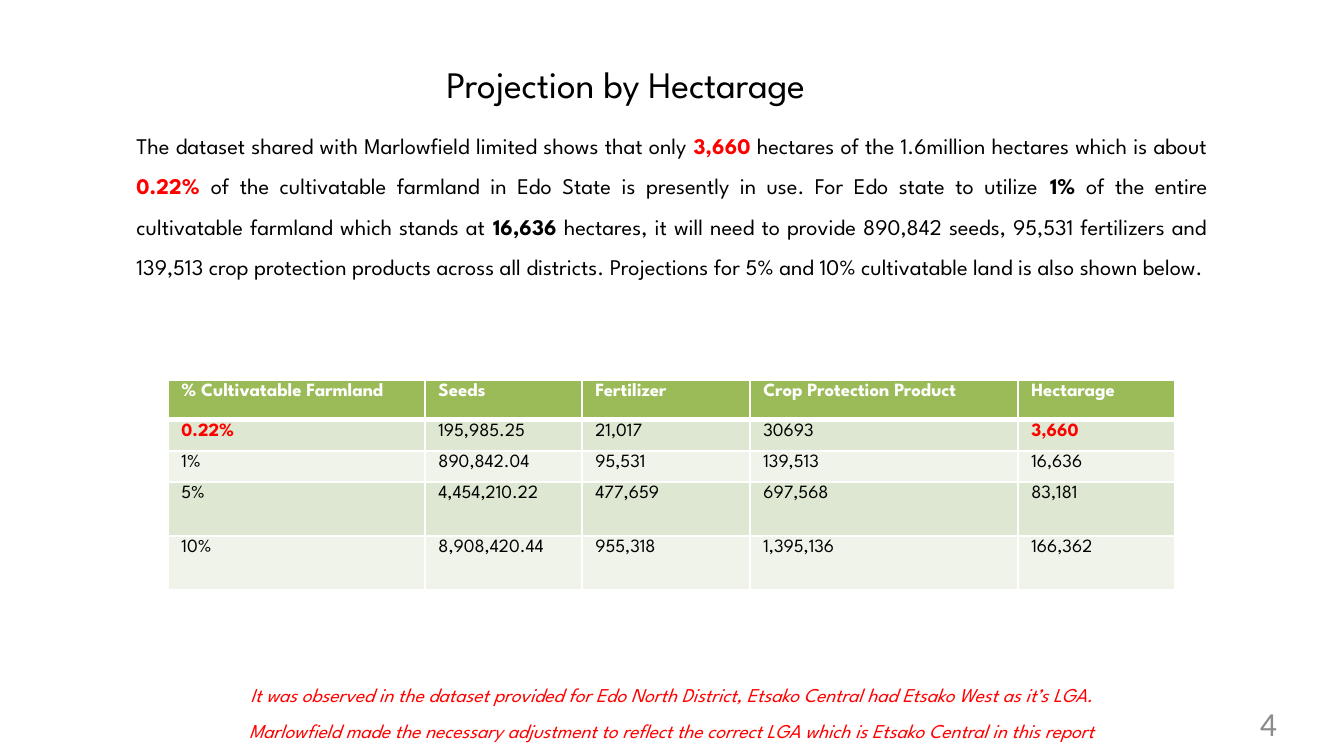
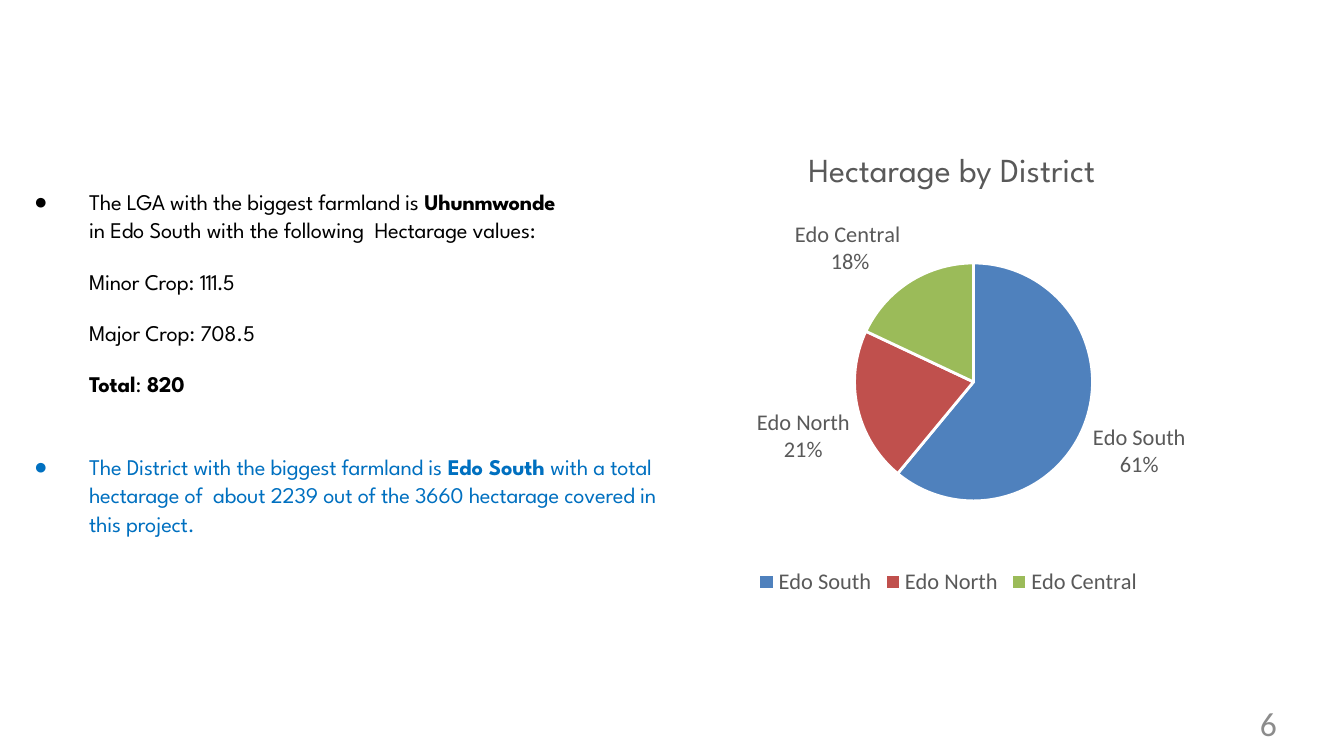
from lxml import etree
from pptx import Presentation
from pptx import util as u
from pptx.chart.data import CategoryChartData
from pptx.dml.color import RGBColor
from pptx.enum import chart as ch
from pptx.enum import text
from pptx.oxml import parse_xml
from pptx.oxml.ns import nsdecls, qn

BLACK = RGBColor(0, 0, 0)
WHITE = RGBColor(0xFF, 0xFF, 0xFF)
RED = RGBColor(0xFF, 0, 0)
BLUE = RGBColor(0, 0x70, 0xC0)
PAGE_GREY = RGBColor(0x8C, 0x8C, 0x8C)
CHART_GREY = RGBColor(0x59, 0x59, 0x59)
GREEN = RGBColor(0x9B, 0xBB, 0x59)
BANDS = [RGBColor(0xDE, 0xE7, 0xD1), RGBColor(0xEF, 0xF3, 0xEA)]
SLICES = [RGBColor(0x4F, 0x81, 0xBD), RGBColor(0xC0, 0x50, 0x4D), GREEN]
HEADING, PLAIN = "League Spartan", "Calibri"
BOLD = {"bold": True}
ALERT = {"bold": True, "color": RED}

# Content: each run is (text, style)
TITLE = "Projection by Hectarage"
SUMMARY = [
    ("The dataset shared with Marlowfield limited shows that only ", {}),
    ("3,660", ALERT),
    (" hectares of the 1.6million hectares which is about ", {}),
    ("0.22% ", ALERT),
    ("of the cultivatable farmland in Edo State is presently in use. "
     "For Edo state to utilize ", {}),
    ("1% ", BOLD),
    ("of the entire cultivatable farmland which stands at", {}),
    (" 16,636", BOLD),
    (" hectares, it will need to provide 890,842 seeds, 95,531 fertilizers and "
     "139,513 crop protection products across all districts. "
     "Projections for 5% and 10% cultivatable land is also shown below.", {}),
]
PROJECTIONS = [
    ("% Cultivatable Farmland", "Seeds", "Fertilizer", "Crop Protection Product", "Hectarage"),
    ("0.22%", "195,985.25", "21,017", "30693", "3,660"),
    ("1%", "890,842.04", "95,531", "139,513", "16,636"),
    ("5%", "4,454,210.22", "477,659", "697,568", "83,181"),
    ("10%", "8,908,420.44", "955,318", "1,395,136", "166,362"),
]
CURRENT_USE = {(1, 0), (1, 4)}
COLUMNS = [257, 157, 168, 268, 157]
ROWS = [40, 31, 31, 54, 54]
FOOTNOTE = [
    "It was observed in the dataset provided for Edo North District, "
    "Etsako Central had Etsako West as it’s LGA.",
    "Marlowfield made the necessary adjustment to reflect the correct LGA "
    "which is Etsako Central in this report",
]
# Findings: (bulleted, space before in points, right margin in px, colour, runs)
FINDINGS = [
    (True, 1, 90, BLACK, [
        ("The LGA with the biggest farmland is ", {}), ("Uhunmwonde ", BOLD),
        ("in Edo South with the following  Hectarage values:", {})]),
    (False, 13, 0, BLACK, [("Minor Crop: ", {}), ("111.5", {"spacing": -60})]),
    (False, 13, 0, BLACK, [("Major Crop: 708.5", {})]),
    (False, 13, 0, BLACK, [("Total", BOLD), (": ", {}), ("820", BOLD)]),
    (True, 29.5, 0, BLUE, [
        ("The District with the biggest farmland is ", {}), ("Edo South ", BOLD),
        ("with a total hectarage of  about 2239 out of the 3660 hectarage "
         "covered in this project.", {})]),
]
CHART_TITLE = "Hectarage by District"
DISTRICTS = {"Edo South": 61, "Edo North": 21, "Edo Central ": 18}


def px(n):
    return u.Emu(round(n * 914400 / 134.4))


def set_font(font, size, color=BLACK, name=HEADING, bold=False, italic=False):
    font.name, font.size = name, u.Pt(size)
    font.bold, font.italic = bold, italic
    font.color.rgb = color


def add_runs(p, runs, size, spacing=0, **base):
    for content, style in runs:
        style = {"spacing": spacing, **base, **style}
        gap = style.pop("spacing")
        r = p.add_run()
        r.text = content
        set_font(r.font, size, **style)
        if gap:
            r.font._element.set("spc", str(gap))


def frame(sp, box, inset=True):
    """Place a text shape and return its top-anchored, wrapping frame."""
    sp.left, sp.top, sp.width, sp.height = map(px, box)
    tf = sp.text_frame
    tf.word_wrap = True
    tf.auto_size = text.MSO_AUTO_SIZE.NONE
    tf.vertical_anchor = text.MSO_ANCHOR.TOP
    if not inset:
        tf.margin_left = tf.margin_right = tf.margin_top = tf.margin_bottom = 0
    return tf


def format_paragraph(p, align=text.PP_ALIGN.LEFT, line=1.0, before=0,
                     indent=0, bullet=None, right=0):
    p.alignment, p.line_spacing, p.space_before = align, line, u.Pt(before)
    pPr = p._p.get_or_add_pPr()
    pPr.set("marL", str(px(indent)))
    pPr.set("marR", str(px(right)))
    pPr.set("indent", str(-px(indent) if bullet else 0))
    if bullet:
        etree.SubElement(pPr, qn("a:buChar")).set("char", bullet)
    else:
        etree.SubElement(pPr, qn("a:buNone"))


def text_box(s, box, inset=True):
    return frame(s.shapes.add_textbox(0, 0, 0, 0), box, inset)


def add_page_number(s, number):
    p = text_box(s, (968, 703, 309, 38), inset=False).paragraphs[0]
    p.alignment = text.PP_ALIGN.RIGHT
    add_runs(p, [(number, {})], 18, color=PAGE_GREY, name=PLAIN)


def add_borders(cell, bottom):
    tcPr = cell._tc.get_or_add_tcPr()
    for side, width in (("L", 1), ("R", 1), ("T", 1), ("B", bottom)):
        tcPr.append(parse_xml(
            f'<a:ln{side} {nsdecls("a")} w="{u.Pt(width)}"><a:solidFill>'
            f'<a:srgbClr val="{WHITE}"/></a:solidFill></a:ln{side}>'))


def add_projection_table(s):
    table = s.shapes.add_table(len(ROWS), len(COLUMNS), px(168), px(380),
                               px(sum(COLUMNS)), px(sum(ROWS))).table
    for column, width in zip(table.columns, COLUMNS):
        column.width = px(width)
    for i, (height, values) in enumerate(zip(ROWS, PROJECTIONS)):
        table.rows[i].height = px(height)
        for j, value in enumerate(values):
            cell = table.cell(i, j)
            header, current = i == 0, (i, j) in CURRENT_USE
            cell.margin_top = cell.margin_bottom = px(4)
            add_borders(cell, 3 if header else 1)
            cell.fill.solid()
            cell.fill.fore_color.rgb = GREEN if header else BANDS[(i - 1) % 2]
            color = WHITE if header else RED if current else BLACK
            add_runs(cell.text_frame.paragraphs[0], [(value, {})], 10,
                     color=color, bold=header or current)


def set_layout(parent, index, **fractions):
    """Give a chart part a manual layout, as fractions of the chart."""
    for old in parent.findall(qn("c:layout")):
        parent.remove(old)
    layout = etree.Element(qn("c:layout"))
    manual = etree.SubElement(layout, qn("c:manualLayout"))
    if "w" in fractions:
        etree.SubElement(manual, qn("c:layoutTarget")).set("val", "inner")
    for axis in "xy":
        etree.SubElement(manual, qn(f"c:{axis}Mode")).set("val", "edge")
    for key, value in fractions.items():
        etree.SubElement(manual, qn(f"c:{key}")).set("val", str(value))
    parent.insert(index, layout)


def add_district_pie(s):
    data = CategoryChartData()
    data.categories = list(DISTRICTS)
    data.add_series("Series 1", list(DISTRICTS.values()))
    chart = s.shapes.add_chart(ch.XL_CHART_TYPE.PIE, px(628), px(125),
                               px(646), px(476), data).chart
    set_font(chart.font, 10, name=PLAIN)

    chart.has_title = True
    add_runs(chart.chart_title.text_frame.paragraphs[0], [(CHART_TITLE, {})],
             18, color=CHART_GREY)
    set_layout(chart.chart_title._element, 1, x=0.27, y=0.05)
    set_layout(chart._chartSpace.chart.plotArea, 0, x=0.35, y=0.29, w=0.37, h=0.5)

    chart.has_legend = True
    chart.legend.position = ch.XL_LEGEND_POSITION.BOTTOM
    chart.legend.include_in_layout = False
    set_font(chart.legend.font, 12, CHART_GREY, PLAIN)

    plot = chart.plots[0]
    plot.vary_by_categories = True
    for i, color in enumerate(SLICES):
        fmt = plot.series[0].points[i].format
        fmt.fill.solid()
        fmt.fill.fore_color.rgb = color
        fmt.line.color.rgb = WHITE
        fmt.line.width = u.Pt(1.5)

    plot.has_data_labels = True
    labels = plot.data_labels
    labels.show_value = False
    labels.show_category_name = labels.show_percentage = True
    labels.number_format, labels.number_format_is_linked = "0%", False
    labels.position = ch.XL_LABEL_POSITION.OUTSIDE_END
    set_font(labels.font, 12, CHART_GREY, PLAIN)
    separator = etree.Element(qn("c:separator"))
    separator.text = "\n"
    labels._element.find(qn("c:showBubbleSize")).addnext(separator)


def projection_slide(prs):
    s = prs.slides.add_slide(prs.slide_layouts[1])
    p = frame(s.shapes.title, (433, 54, 478, 59)).paragraphs[0]
    format_paragraph(p)
    add_runs(p, [(TITLE, {})], 20, spacing=-10)

    p = frame(s.placeholders[1], (123, 112, 1098, 212)).paragraphs[0]
    format_paragraph(p, text.PP_ALIGN.JUSTIFY, line=1.5)
    add_runs(p, SUMMARY, 12)

    add_projection_table(s)

    p = text_box(s, (123, 665, 1098, 81)).paragraphs[0]
    p.alignment, p.line_spacing = text.PP_ALIGN.CENTER, 1.5
    for i, line in enumerate(FOOTNOTE):
        if i:
            p.add_line_break()
        add_runs(p, [(line, {})], 10.5, color=RED, italic=True)
    add_page_number(s, "4")


def district_slide(prs):
    s = prs.slides.add_slide(prs.slide_layouts[1])
    title = s.shapes.title._element
    title.getparent().remove(title)
    add_district_pie(s)

    tf = frame(s.placeholders[1], (34, 187, 628, 382), inset=False)
    for i, (bulleted, before, right, color, runs) in enumerate(FINDINGS):
        p = tf.add_paragraph() if i else tf.paragraphs[0]
        format_paragraph(p, line=1.05 if bulleted else 1.0, before=before,
                         indent=55, bullet="●" if bulleted else None, right=right)
        add_runs(p, runs, 12, spacing=-10, color=color)
    add_page_number(s, "6")


def main():
    prs = Presentation()
    prs.slide_width, prs.slide_height = px(1344), px(756)
    projection_slide(prs)
    district_slide(prs)
    prs.save("out.pptx")


if __name__ == "__main__":
    main()
